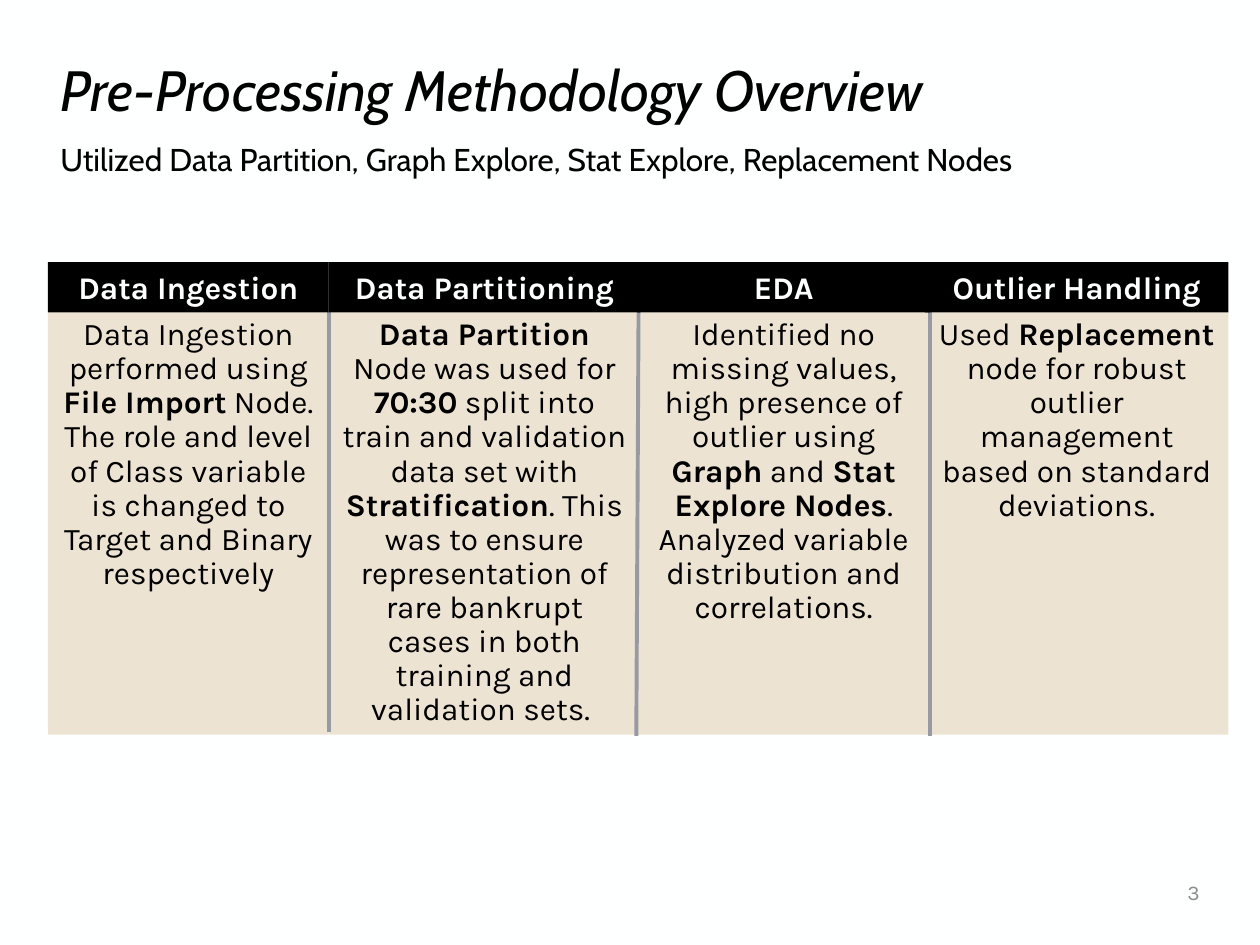
from lxml import etree
from pptx import Presentation
from pptx.dml.color import RGBColor
from pptx.enum.shapes import MSO_CONNECTOR, MSO_SHAPE
from pptx.enum.text import MSO_ANCHOR, PP_ALIGN
from pptx.oxml.ns import qn
from pptx.util import Pt

RECTANGLE, STRAIGHT = MSO_SHAPE.RECTANGLE, MSO_CONNECTOR.STRAIGHT
TOP, MIDDLE = MSO_ANCHOR.TOP, MSO_ANCHOR.MIDDLE
LEFT, CENTER, RIGHT = PP_ALIGN.LEFT, PP_ALIGN.CENTER, PP_ALIGN.RIGHT

# Content: runs are (text, bold)
TITLE = "Pre-Processing Methodology Overview"
SUBTITLE = "Utilized Data Partition, Graph Explore, Stat Explore, Replacement Nodes"
PAGE_NUMBER = "3"
STEPS = [
    ("Data Ingestion", [
        ("Data Ingestion performed using ", False),
        ("File Import", True),
        (" Node. The role and level of Class variable is changed to "
         "Target and Binary respectively", False)]),
    ("Data Partitioning", [
        ("Data Partition ", True),
        ("Node was used for ", False),
        ("70:30", True),
        (" split into train and validation data set with ", False),
        ("Stratification", True),
        (". This was to ensure representation of rare bankrupt cases in both "
         "training and validation sets. ", False)]),
    ("EDA", [
        ("Identified no missing values, high presence of outlier using ", False),
        ("Graph", True),
        (" and ", False),
        ("Stat Explore Nodes", True),
        (". Analyzed variable distribution and correlations.", False)]),
    ("Outlier Handling", [
        ("Used ", False),
        ("Replacement", True),
        (" node for robust outlier management based on standard deviations.",
         False)]),
]


class Theme:
    background = RGBColor(0xFE, 0xFF, 0xFF)
    ink = RGBColor(0, 0, 0)
    panel = RGBColor(0xEC, 0xE3, 0xD3)
    divider = RGBColor(0x97, 0x9A, 0xA2)
    muted = RGBColor(0x8C, 0x8C, 0x8C)
    heading_font, body_font = "Cabin", "Karla"
    title_size, body_size, number_size = 32.4, 18, 12
    divider_width = 2.25


# Layout, in points
MARGIN = 27.36
HEADER_TOP, HEADER_HEIGHT = 149.76, 28.8
BODY_TOP, BODY_HEIGHT = HEADER_TOP + HEADER_HEIGHT, 241.2
COLUMNS = [(MARGIN, 160.56), (187.92, 177.84), (364.32, 167.04), (528.48, 173.52)]
# (x, y) at the top and bottom of each divider; the middle one leans slightly
DIVIDERS = [((187.92, 149.76), (187.92, 418.32)),
            ((365.04, 153.36), (363.6, 420.48)),
            ((531.36, 157.68), (531.36, 420.48))]


def write(holder, runs, size, color, font=Theme.body_font, align=LEFT,
          anchor=TOP, italic=None, spacing=None, before=None):
    frame = holder.text_frame
    frame.word_wrap = True
    frame.vertical_anchor = anchor
    paragraph = frame.paragraphs[0]
    paragraph.alignment = align
    if spacing:
        paragraph.line_spacing = spacing
    if before:
        paragraph.space_before = Pt(before)
    for text, bold in runs:
        run = paragraph.add_run()
        run.text = text
        run.font.name, run.font.size = font, Pt(size)
        run.font.bold, run.font.italic = bold, italic
        run.font.color.rgb = color


def add_text(slide, box, text, size, color, **style):
    label = slide.shapes.add_textbox(*map(Pt, box))
    write(label, [(text, False)], size, color, **style)


def add_panel(slide, box, fill, runs, color, **style):
    panel = slide.shapes.add_shape(RECTANGLE, *map(Pt, box))
    panel.shadow.inherit = False
    panel.fill.solid()
    panel.fill.fore_color.rgb = fill
    panel.line.fill.background()
    write(panel, runs, Theme.body_size, color, align=CENTER, **style)


def add_divider(slide, start, end):
    divider = slide.shapes.add_connector(STRAIGHT, *map(Pt, start + end))
    divider.line.color.rgb = Theme.divider
    divider.line.width = Pt(Theme.divider_width)
    etree.SubElement(divider._element.spPr, qn("a:effectLst"))


def main():
    deck = Presentation()
    deck.slide_width, deck.slide_height = Pt(720), Pt(540)
    slide = deck.slides.add_slide(deck.slide_layouts[6])
    slide.background.fill.solid()
    slide.background.fill.fore_color.rgb = Theme.background

    # Title, subtitle and page number
    add_text(slide, (MARGIN, 30.24, 665.28, 46.08), TITLE, Theme.title_size,
             Theme.ink, font=Theme.heading_font, anchor=MIDDLE, italic=True,
             spacing=0.9)
    add_text(slide, (MARGIN, 79.2, 666, 28.8), SUBTITLE, Theme.body_size,
             Theme.ink, font=Theme.heading_font, spacing=0.9, before=7.5)
    add_text(slide, (606.24, 495.36, 86.4, 28.8), PAGE_NUMBER,
             Theme.number_size, Theme.muted, align=RIGHT, anchor=MIDDLE)

    # Step descriptions, then dividers, then headers on top
    for (left, width), (_, description) in zip(COLUMNS, STEPS):
        add_panel(slide, (left, BODY_TOP, width, BODY_HEIGHT), Theme.panel,
                  description, Theme.ink, spacing=0.9, before=7.5)
    for start, end in DIVIDERS:
        add_divider(slide, start, end)
    for (left, width), (header, _) in zip(COLUMNS, STEPS):
        add_panel(slide, (left, HEADER_TOP, width, HEADER_HEIGHT), Theme.ink,
                  [(header, True)], Theme.background)

    deck.save("out.pptx")


if __name__ == "__main__":
    main()
